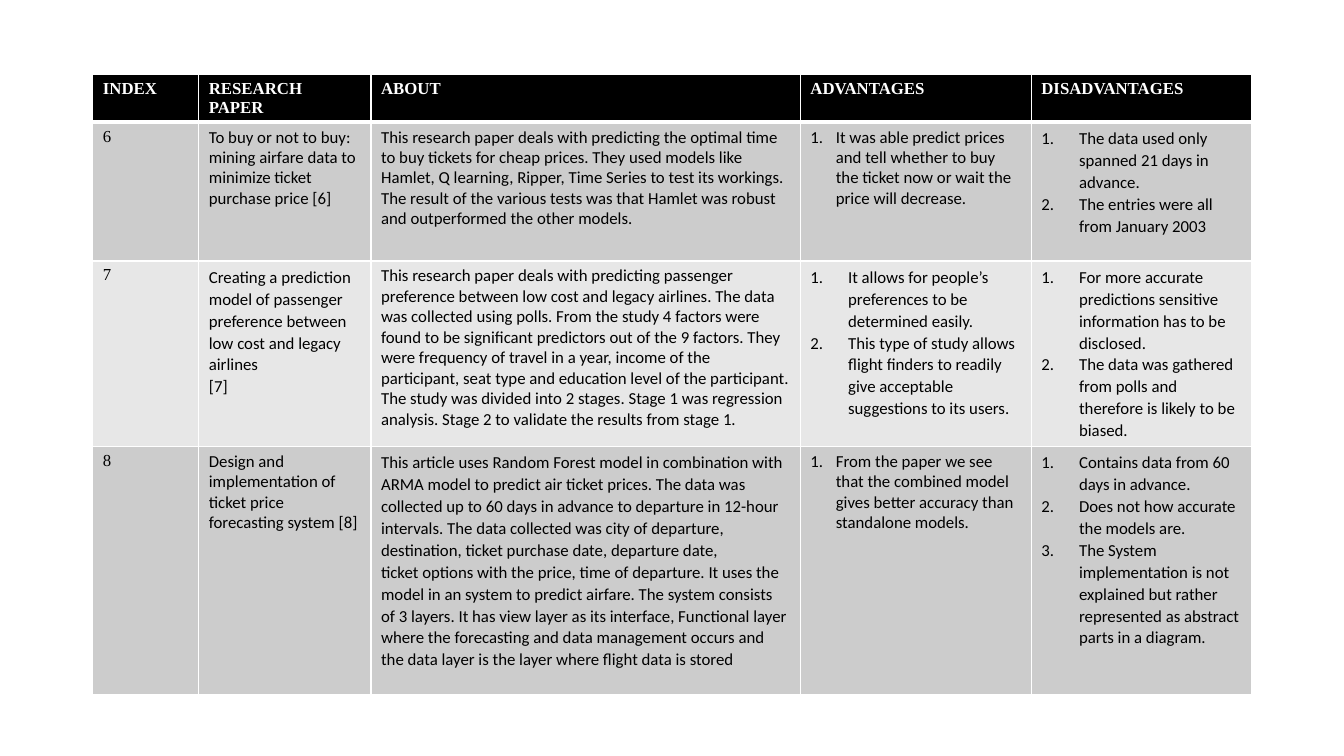
from dataclasses import dataclass

import lxml.etree
import pptx
import pptx.dml.color
import pptx.oxml.ns
import pptx.table
import pptx.text.text
import pptx.util

Cm = pptx.util.Cm
RGBColor = pptx.dml.color.RGBColor

BLACK = RGBColor(0x00, 0x00, 0x00)
WHITE = RGBColor(0xFF, 0xFF, 0xFF)
DARK_BAND = RGBColor(0xCC, 0xCC, 0xCC)
LIGHT_BAND = RGBColor(0xE7, 0xE7, 0xE7)

SERIF = "Times New Roman"
SANS = "Calibri"
TEXT_SIZE = pptx.util.Pt(12)
LOOSE = 1.07
NARROW_INDENT = Cm(0.64)
WIDE_INDENT = Cm(0.95)

COLUMN_WIDTHS = [Cm(2.67), Cm(4.34), Cm(10.82), Cm(5.82), Cm(5.54)]
ROW_HEIGHTS = [Cm(1.19), Cm(3.5), Cm(4.67), Cm(6.25)]
HEADINGS = ["INDEX", "RESEARCH PAPER", "ABOUT", "ADVANTAGES", "DISADVANTAGES"]


@dataclass(frozen=True)
class CellText:
    text: str
    font: str = SANS
    color: RGBColor = BLACK
    bold: bool = False
    line_spacing: float | None = None
    number_indent: pptx.util.Length | None = None


def heading(text: str) -> CellText:
    return CellText(text, font=SERIF, color=WHITE, bold=True)


def index(text: str) -> CellText:
    return CellText(text, font=SERIF)


def loose(text: str) -> CellText:
    return CellText(text, line_spacing=LOOSE)


def single_item(text: str) -> CellText:
    return CellText(text, number_indent=NARROW_INDENT)


def numbered(*items: str) -> CellText:
    return CellText("\n".join(items), line_spacing=LOOSE, number_indent=WIDE_INDENT)


PAPERS = [
    [
        index("6"),
        CellText("To buy or not to buy: mining airfare data to minimize ticket purchase price [6]"),
        CellText(
            "This research paper deals with predicting the optimal time to buy tickets for "
            "cheap prices. They used models like Hamlet, Q learning, Ripper, Time Series to "
            "test its workings. The result of the various tests was that Hamlet was robust "
            "and outperformed the other models."
        ),
        single_item(
            "It was able predict prices and tell whether to buy the ticket now or wait the "
            "price will decrease."
        ),
        numbered(
            "The data used only spanned 21 days in advance.",
            "The entries were all from January 2003",
        ),
    ],
    [
        index("7"),
        loose(
            "Creating a prediction model of passenger preference between low cost and legacy "
            "airlines\n[7]"
        ),
        CellText(
            "This research paper deals with predicting passenger preference between low cost "
            "and legacy airlines. The data was collected using polls. From the study 4 factors "
            "were found to be significant predictors out of the 9 factors. They were frequency "
            "of travel in a year, income of the participant, seat type and education level of "
            "the participant. The study was divided into 2 stages. Stage 1 was regression "
            "analysis. Stage 2 to validate the results from stage 1."
        ),
        numbered(
            "It allows for people’s preferences to be determined easily.",
            "This type of study allows flight finders to readily give acceptable suggestions "
            "to its users.",
        ),
        numbered(
            "For more accurate predictions sensitive information has to be disclosed.",
            "The data was gathered from polls and therefore is likely to be biased.",
        ),
    ],
    [
        index("8"),
        CellText("Design and implementation of ticket price forecasting system [8]"),
        loose(
            "This article uses Random Forest model in combination with ARMA model to predict "
            "air ticket prices. The data was collected up to 60 days in advance to departure "
            "in 12-hour intervals. The data collected was city of departure, destination, "
            "ticket purchase date, departure date,\n"
            "ticket options with the price, time of departure. It uses the model in an system "
            "to predict airfare. The system consists of 3 layers. It has view layer as its "
            "interface, Functional layer where the forecasting and data management occurs and "
            "the data layer is the layer where flight data is stored"
        ),
        single_item(
            "From the paper we see that the combined model gives better accuracy than "
            "standalone models."
        ),
        numbered(
            "Contains data from 60 days in advance.",
            "Does not how accurate the models are.",
            "The System implementation is not explained but rather represented as abstract "
            "parts in a diagram.",
        ),
    ],
]


def add_child(parent: lxml.etree.ElementBase, tag: str, **attributes: str) -> lxml.etree.ElementBase:
    return lxml.etree.SubElement(parent, pptx.oxml.ns.qn(tag), **attributes)


def number_paragraph(paragraph: pptx.text.text._Paragraph, indent: pptx.util.Length) -> None:
    properties = paragraph._p.get_or_add_pPr()
    properties.set("marL", str(indent))
    properties.set("indent", str(-indent))
    add_child(properties, "a:buFont", typeface="+mj-lt")
    add_child(properties, "a:buAutoNum", type="arabicPeriod")


def add_borders(cell: pptx.table._Cell, top: float, bottom: float) -> None:
    properties = cell._tc.get_or_add_tcPr()
    for side, points in {"L": 1, "R": 1, "T": top, "B": bottom}.items():
        line = add_child(properties, f"a:ln{side}", w=str(pptx.util.Pt(points)))
        fill = add_child(line, "a:solidFill")
        add_child(fill, "a:srgbClr", val=str(WHITE))


def fill_cell(cell: pptx.table._Cell, content: CellText, background: RGBColor) -> None:
    cell.fill.solid()
    cell.fill.fore_color.rgb = background
    cell.text_frame.text = content.text
    for paragraph in cell.text_frame.paragraphs:
        if content.line_spacing is not None:
            paragraph.line_spacing = content.line_spacing
        if content.number_indent is not None:
            number_paragraph(paragraph, content.number_indent)
        for run in paragraph.runs:
            run.font.name = content.font
            run.font.size = TEXT_SIZE
            run.font.bold = content.bold
            run.font.color.rgb = content.color


presentation = pptx.Presentation()
presentation.slide_width = Cm(33.87)
presentation.slide_height = Cm(19.05)
slide = presentation.slides.add_slide(presentation.slide_layouts[6])

# Table grid
rows = [[heading(text) for text in HEADINGS], *PAPERS]
table = slide.shapes.add_table(
    len(rows), len(HEADINGS), Cm(2.34), Cm(1.88), sum(COLUMN_WIDTHS), sum(ROW_HEIGHTS)
).table
for column, width in zip(table.columns, COLUMN_WIDTHS):
    column.width = width
for row, height in zip(table.rows, ROW_HEIGHTS):
    row.height = height

# Header row and banded paper rows, with a thick line under the header
for row_number, contents in enumerate(rows):
    band = DARK_BAND if row_number % 2 else LIGHT_BAND
    background = band if row_number else BLACK
    for column_number, content in enumerate(contents):
        cell = table.cell(row_number, column_number)
        add_borders(cell, top=3 if row_number == 1 else 1, bottom=3 if row_number == 0 else 1)
        fill_cell(cell, content, background)

presentation.save("out.pptx")
